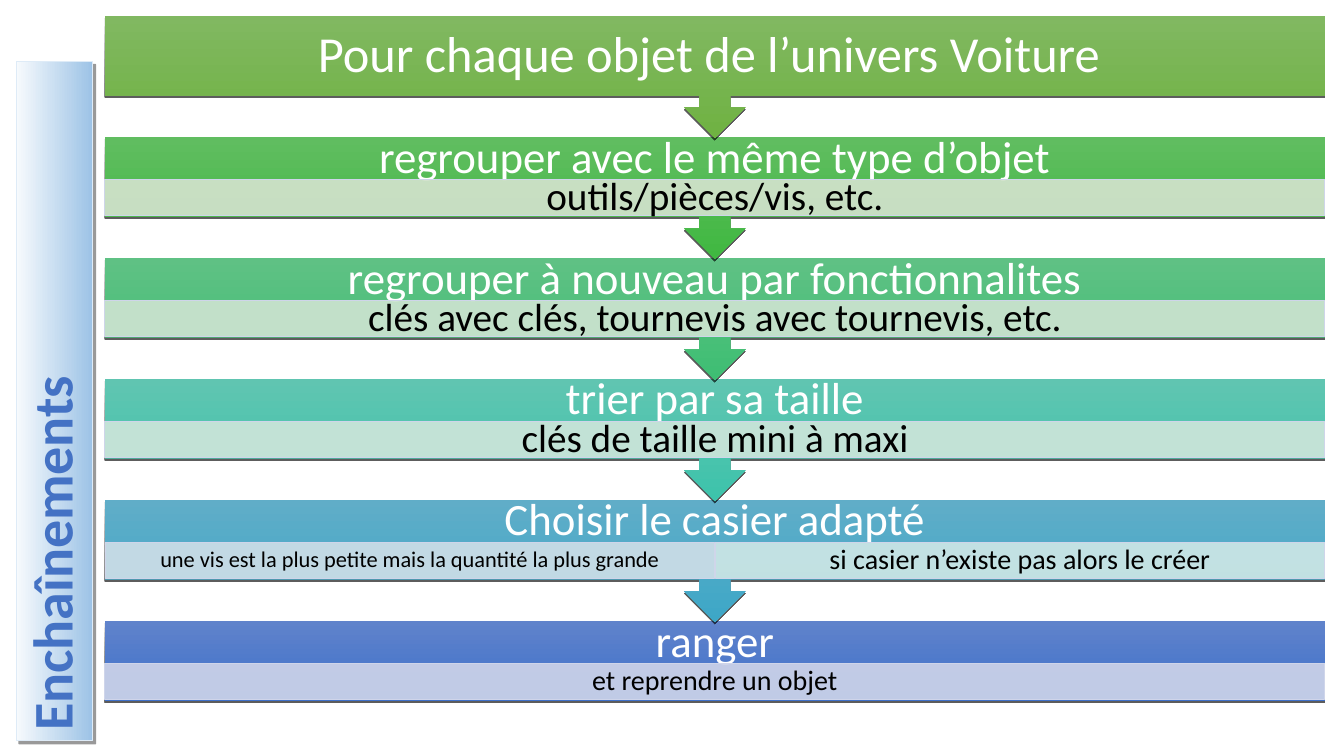
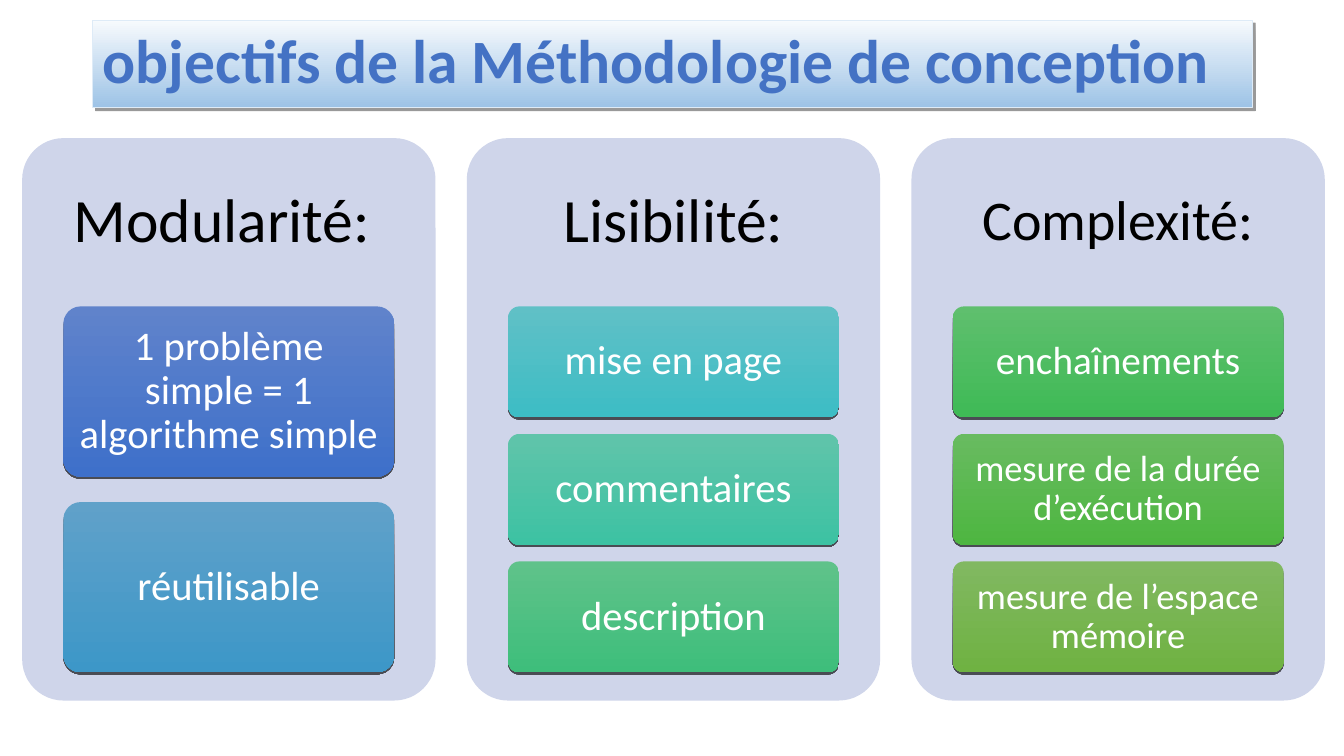
from lxml import etree
from pptx import Presentation
from pptx.dml.color import RGBColor
from pptx.enum.shapes import MSO_SHAPE
from pptx.enum.text import MSO_ANCHOR, PP_ALIGN
from pptx.oxml.ns import qn
from pptx.util import Inches, Pt

RECTANGLE = MSO_SHAPE.RECTANGLE
ROUNDED = MSO_SHAPE.ROUNDED_RECTANGLE
ARROW_CALLOUT = MSO_SHAPE.DOWN_ARROW_CALLOUT
MIDDLE = MSO_ANCHOR.MIDDLE
LEFT, CENTER = PP_ALIGN.LEFT, PP_ALIGN.CENTER

FONT = "Calibri"
WHITE = RGBColor(0xFF, 0xFF, 0xFF)
BLACK = RGBColor(0x00, 0x00, 0x00)
TITLE_BLUE = RGBColor(0x44, 0x72, 0xC4)
TITLE_EDGE = RGBColor(0xDE, 0xEB, 0xF7)
LAVENDER = RGBColor(0xCF, 0xD5, 0xEA)
MIST = RGBColor(0xCF, 0xDF, 0xE8)
AQUA = RGBColor(0xCF, 0xE7, 0xE6)
MINT = RGBColor(0xCF, 0xE6, 0xDB)
PALE_GREEN = RGBColor(0xCF, 0xE4, 0xD2)
SAGE = RGBColor(0xD5, 0xE3, 0xCF)

TITLE_FADE = (RGBColor(0xF7, 0xFA, 0xFD), RGBColor(0x9D, 0xC3, 0xE6))
BLUE_FADE = (RGBColor(0x60, 0x83, 0xCB), RGBColor(0x3E, 0x70, 0xCA))
SKY_FADE = (RGBColor(0x60, 0xA1, 0xC9), RGBColor(0x3D, 0x97, 0xC8))
LAGOON_FADE = (RGBColor(0x60, 0xAD, 0xC8), RGBColor(0x3D, 0xA7, 0xC7))
CYAN_FADE = (RGBColor(0x60, 0xC0, 0xC6), RGBColor(0x3D, 0xBD, 0xC5))
TURQUOISE_FADE = (RGBColor(0x60, 0xC5, 0xB1), RGBColor(0x3D, 0xC3, 0xAB))
TEAL_FADE = (RGBColor(0x60, 0xC4, 0xAA), RGBColor(0x3D, 0xC2, 0xA3))
JADE_FADE = (RGBColor(0x5F, 0xC2, 0x8A), RGBColor(0x3E, 0xBE, 0x7B))
EMERALD_FADE = (RGBColor(0x5F, 0xC1, 0x84), RGBColor(0x3E, 0xBE, 0x73))
GREEN_FADE = (RGBColor(0x5F, 0xBF, 0x6E), RGBColor(0x3F, 0xBA, 0x56))
LEAF_FADE = (RGBColor(0x60, 0xBD, 0x60), RGBColor(0x40, 0xB8, 0x41))
GRASS_FADE = (RGBColor(0x68, 0xBB, 0x60), RGBColor(0x4E, 0xB6, 0x41))
OLIVE_FADE = (RGBColor(0x81, 0xB8, 0x61), RGBColor(0x6F, 0xB2, 0x42))


def add_shadow(shape, opacity, distance, direction):
    effects = shape._element.spPr.find(qn("a:effectLst"))
    shadow = etree.SubElement(
        effects, qn("a:outerShdw"), blurRad="0", dist=str(Pt(distance)),
        dir=str(direction * 60000), algn="ctr", rotWithShape="0")
    color = etree.SubElement(shadow, qn("a:srgbClr"), val=str(BLACK))
    etree.SubElement(color, qn("a:alpha"), val=str(opacity * 1000))


def add_box(page, text, place, *, kind=RECTANGLE, size, color=WHITE, bold=False,
            fill=None, fade=None, opacity=100, line=None, line_width=0.5,
            shadow=None, align=CENTER, insets=(0.1, 0.05, 0.1, 0.05), rotation=0):
    box = page.shapes.add_shape(kind, *(Inches(length) for length in place))
    box.rotation = rotation
    box.shadow.inherit = False
    if kind == ROUNDED:
        box.adjustments[0] = 0.1
    if fade:
        box.fill.gradient()
        box.fill.gradient_angle = 270
        for stop, position, shade in zip(box.fill.gradient_stops, (0, 1), fade):
            stop.position = position
            stop.color.rgb = shade
    else:
        box.fill.solid()
        box.fill.fore_color.rgb = fill
        if opacity < 100:
            shade = box._element.spPr.find(qn("a:solidFill"))[0]
            etree.SubElement(shade, qn("a:alpha"), val=str(opacity * 1000))
    if line:
        box.line.color.rgb = line
        box.line.width = Pt(line_width)
    else:
        box.line.fill.background()
    if shadow:
        add_shadow(box, *shadow)
    frame = box.text_frame
    frame.word_wrap = True
    frame.vertical_anchor = MIDDLE
    (frame.margin_left, frame.margin_top,
     frame.margin_right, frame.margin_bottom) = (Inches(inset) for inset in insets)
    para = frame.paragraphs[0]
    para.alignment = align
    para.line_spacing = 0.9
    span = para.add_run()
    span.text = text
    span.font.name = FONT
    span.font.size = Pt(size)
    span.font.bold = bold
    span.font.color.rgb = color


TITLE_STYLE = dict(color=TITLE_BLUE, bold=True, fade=TITLE_FADE, line=TITLE_EDGE,
                   line_width=0.75, shadow=(40, 3, 45), align=LEFT)
RAISED = (63, 1.5, 90)

deck = Presentation()
deck.slide_width, deck.slide_height = Inches(13.33), Inches(7.5)
blank = deck.slide_layouts[6]

STEP_LEFT, STEP_TOP, STEP_WIDTH, STEP_PITCH = 1.04, 0.16, 12.1, 1.2
BAR_HEIGHT, CALLOUT_HEIGHT, DETAIL_OFFSET, DETAIL_HEIGHT = 0.79, 1.21, 0.42, 0.36
STEPS = [
    ("Pour chaque objet de l’univers Voiture ", OLIVE_FADE, []),
    ("regrouper avec le même type d’objet", LEAF_FADE,
     [("outils/pièces/vis, etc.", 28, SAGE)]),
    ("regrouper à nouveau par fonctionnalites", EMERALD_FADE,
     [("clés avec clés, tournevis avec tournevis, etc.", 28, PALE_GREEN)]),
    ("trier par sa taille", TURQUOISE_FADE,
     [("clés de taille mini à maxi", 28, MINT)]),
    ("Choisir le casier adapté", LAGOON_FADE,
     [("une vis est la plus petite mais la quantité la plus grande", 16, MIST),
      ("si casier n’existe pas alors le créer", 20, AQUA)]),
    ("ranger", BLUE_FADE, [("et reprendre un objet", 20, LAVENDER)]),
]

page = deck.slides.add_slide(blank)
last = len(STEPS) - 1
for index, (heading, fade, details) in reversed(list(enumerate(STEPS))):
    top = STEP_TOP + index * STEP_PITCH
    add_box(page, heading,
            (STEP_LEFT, top, STEP_WIDTH, BAR_HEIGHT if index == last else CALLOUT_HEIGHT),
            kind=RECTANGLE if index == last else ARROW_CALLOUT,
            size=32 if details else 36, fade=fade, shadow=RAISED,
            insets=(0.25, 0, 0.25, 0.36 if details else 0))
    for column, (detail, size, tint) in enumerate(details):
        width = STEP_WIDTH / len(details)
        add_box(page, detail,
                (STEP_LEFT + column * width, top + DETAIL_OFFSET, width, DETAIL_HEIGHT),
                size=size, color=BLACK, fill=tint, opacity=90, line=LAVENDER,
                insets=(0.15, 0.03, 0.15, 0.03))
add_box(page, "Enchaînements", (-2.83, 3.6, 6.74, 0.76), size=40, rotation=270,
        **TITLE_STYLE)

PANEL_LEFT, PANEL_TOP, PANEL_WIDTH, PANEL_HEIGHT, PANEL_PITCH = 0.22, 1.37, 4.1, 5.58, 4.41
CARD_INDENT, CARD_TOP, CARD_WIDTH, CARDS_HEIGHT, GAP_RATIO = 0.41, 3.04, 3.28, 3.63, 0.15
PANELS = [
    ("Modularité: ", 44, [
        ("1 problème simple = 1 algorithme simple", 29, BLUE_FADE),
        ("réutilisable", 29, SKY_FADE)]),
    ("Lisibilité:", 44, [
        ("mise en page", 29, CYAN_FADE),
        ("commentaires", 29, TEAL_FADE),
        ("description", 29, JADE_FADE)]),
    ("Complexité:", 40, [
        ("enchaînements", 28, GREEN_FADE),
        ("mesure de la durée d’exécution", 26, GRASS_FADE),
        ("mesure de l’espace mémoire", 26, OLIVE_FADE)]),
]

page = deck.slides.add_slide(blank)
add_box(page, "objectifs de la Méthodologie de conception", (0.92, 0.2, 11.5, 0.87),
        size=44, **TITLE_STYLE)
for index, (heading, heading_size, cards) in enumerate(PANELS):
    left = PANEL_LEFT + index * PANEL_PITCH
    add_box(page, heading, (left, PANEL_TOP, PANEL_WIDTH, PANEL_HEIGHT), kind=ROUNDED,
            size=heading_size, color=BLACK, fill=LAVENDER,
            insets=(0.11, 0.11, 0.11, 4.01))
    height = CARDS_HEIGHT / (len(cards) + GAP_RATIO * (len(cards) - 1))
    for row, (label, size, fade) in enumerate(cards):
        top = CARD_TOP + row * height * (1 + GAP_RATIO)
        add_box(page, label, (left + CARD_INDENT, top, CARD_WIDTH, height), kind=ROUNDED,
                size=size, fade=fade, shadow=RAISED, insets=(0.08, 0.06, 0.08, 0.06))

deck.save("out.pptx")
